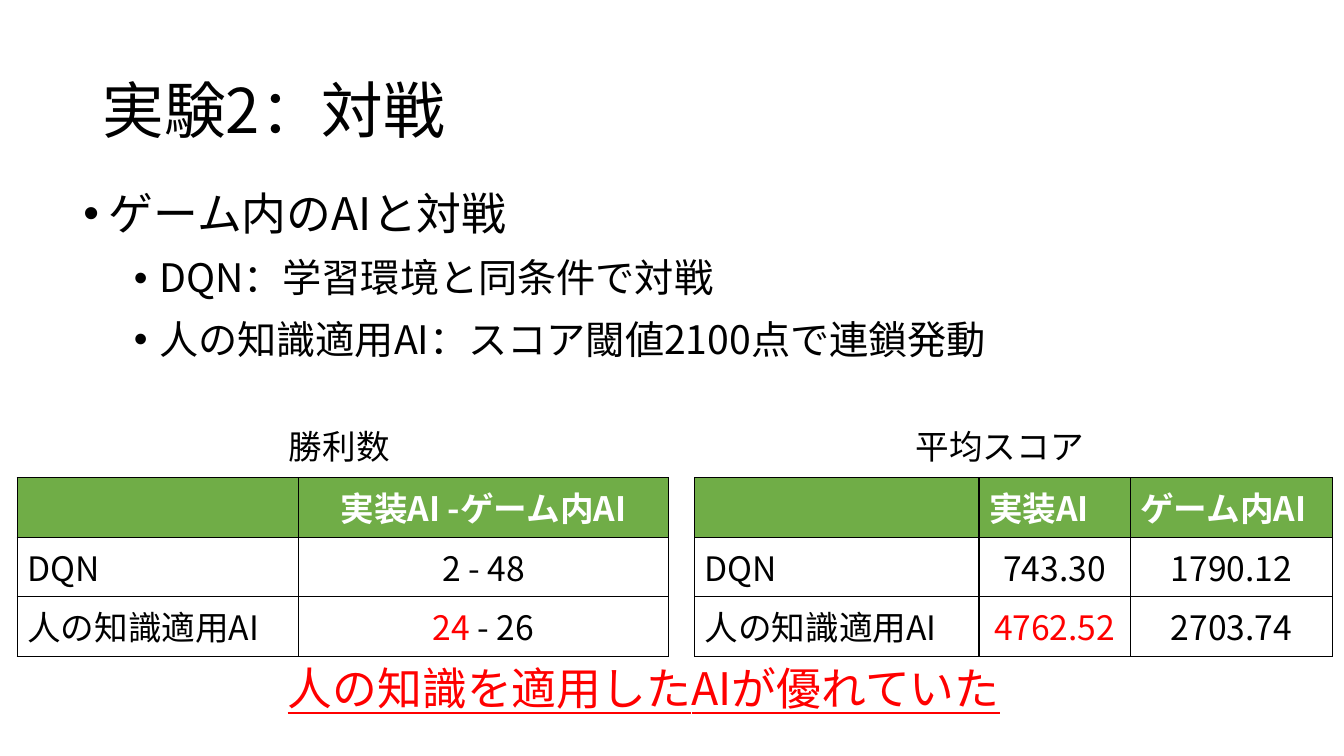
"""Builds the slide on the second experiment, the matches against the in-game AI."""
from pptx import Presentation, util as u
from pptx.dml import color
from pptx.enum import text
from pptx.oxml import ns
from lxml import etree

COLORS = {"black": "000000", "white": "FFFFFF", "red": "FF0000", "green": "70AD47"}
CENTER, LEFT = text.PP_ALIGN.CENTER, text.PP_ALIGN.LEFT


class SlideBuilder:
    """Holds the style and the current slide."""

    font = "Noto Sans CJK JP"
    cell_size = 24
    row_height = 0.59

    def __init__(self, page):
        self.page = page

    def color(self, name):
        return color.RGBColor.from_string(COLORS[name])

    def add_span(self, para, content, size, ink="black", bold=False, underline=False):
        span = para.add_run()
        span.text = content
        span.font.size = u.Pt(size)
        span.font.name = self.font
        span.font.bold = bold
        span.font.underline = underline
        span.font.color.rgb = self.color(ink)
        east_asian = etree.SubElement(span.font._element, ns.qn("a:ea"))
        east_asian.set("typeface", self.font)

    def frame(self, left, top, width, height):
        box = self.page.shapes.add_textbox(*map(u.Inches, (left, top, width, height)))
        box.text_frame.word_wrap = True
        return box.text_frame

    def line(self, place, content, size, ink="black", align=CENTER, underline=False):
        frame = self.frame(*place)
        para = frame.paragraphs[0]
        para.alignment = align
        self.add_span(para, content, size, ink, underline=underline)
        return frame

    def title(self, place, content):
        frame = self.line(place, content, 44, align=LEFT)
        frame.vertical_anchor = text.MSO_ANCHOR.MIDDLE
        frame.paragraphs[0].line_spacing = 0.9

    def bullets(self, place, items):
        frame = self.frame(*place)
        for index, (level, content) in enumerate(items):
            para = frame.add_paragraph() if index else frame.paragraphs[0]
            para.level = level
            para.line_spacing = 0.9
            para.space_before = u.Pt(4 if level else 8)
            para.space_after = u.Pt(9.6)
            props = para._p.get_or_add_pPr()
            props.set("marL", str(u.Inches(0.25 + 0.5 * level)))
            props.set("indent", str(u.Inches(-0.25)))
            etree.SubElement(props, ns.qn("a:buFont")).set("typeface", "Arial")
            etree.SubElement(props, ns.qn("a:buChar")).set("char", "•")
            self.add_span(para, content, 28 if level else 32)

    def borders(self, cell):
        props = cell._tc.get_or_add_tcPr()
        for index, side in enumerate(("a:lnL", "a:lnR", "a:lnT", "a:lnB")):
            edge = etree.Element(ns.qn(side), w=str(u.Pt(1)))
            fill = etree.SubElement(edge, ns.qn("a:solidFill"))
            etree.SubElement(fill, ns.qn("a:srgbClr"), val=COLORS["black"])
            props.insert(index, edge)

    def table(self, left, top, widths, rows, header_align):
        shape = self.page.shapes.add_table(
            len(rows), len(widths), u.Inches(left), u.Inches(top),
            u.Inches(sum(widths)), u.Inches(self.row_height * len(rows)))
        grid = shape.table
        for column, width in zip(grid.columns, widths):
            column.width = u.Inches(width)
        for r, row in enumerate(rows):
            grid.rows[r].height = u.Inches(self.row_height)
            for c, spans in enumerate(row):
                cell = grid.cell(r, c)
                cell.fill.solid()
                cell.fill.fore_color.rgb = self.color("white" if r else "green")
                self.borders(cell)
                para = cell.text_frame.paragraphs[0]
                para.alignment = LEFT if c == 0 else CENTER if r else header_align
                for content, ink in spans:
                    self.add_span(para, content, self.cell_size, ink, bold=r == 0)


def cells(*contents, ink="black"):
    return [[(content, ink)] if content else [] for content in contents]


def main():
    deck = Presentation()
    deck.slide_width, deck.slide_height = u.Inches(13.33), u.Inches(7.5)
    builder = SlideBuilder(deck.slides.add_slide(deck.slide_layouts[6]))

    builder.title((0.92, 0.4, 11.5, 1.45), "実験2：対戦")
    builder.bullets((0.73, 1.85, 11.5, 2.19), [
        (0, "ゲーム内のAIと対戦"),
        (1, "DQN：学習環境と同条件で対戦"),
        (1, "人の知識適用AI：スコア閾値2100点で連鎖発動"),
    ])

    human = "人の知識適用AI"
    builder.table(0.17, 4.74, (2.79, 3.67), [
        cells("", "実装AI -ゲーム内AI", ink="white"),
        cells("DQN", "2 - 48"),
        [[(human, "black")], [("24", "red"), (" - 26", "black")]],
    ], CENTER)
    builder.table(6.89, 4.74, (2.82, 1.5, 2.01), [
        cells("", "実装AI", "ゲーム内AI", ink="white"),
        cells("DQN", "743.30", "1790.12"),
        cells(human) + cells("4762.52", ink="red") + cells("2703.74"),
    ], LEFT)

    builder.line((2.03, 6.51, 8.71, 0.64), "人の知識を適用したAIが優れていた", 32, "red", underline=True)
    for left, caption in ((1.53, "勝利数"), (8.08, "平均スコア")):
        builder.line((left, 4.18, 3.67, 0.5), caption, 24)
    deck.save("out.pptx")


if __name__ == "__main__":
    main()
